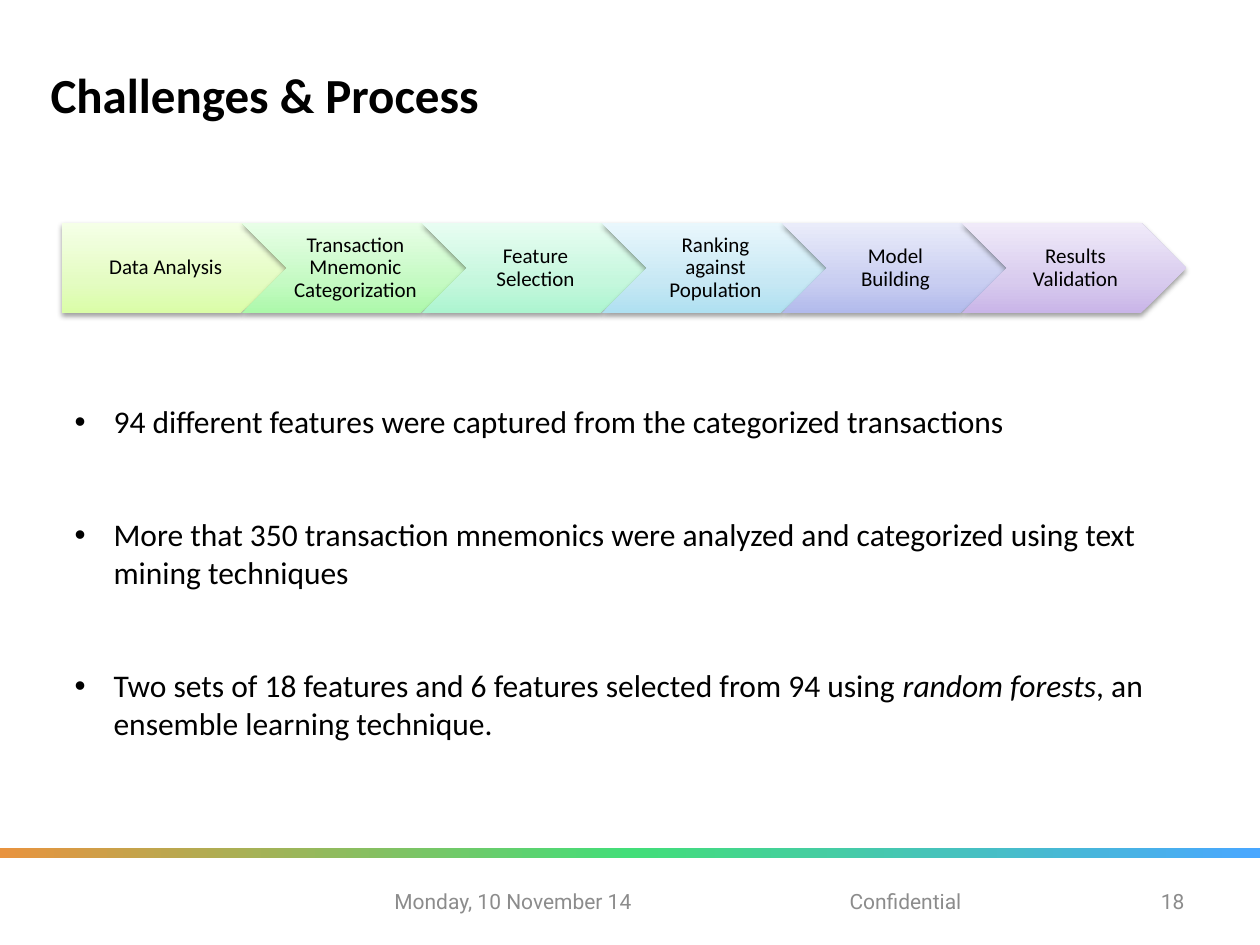
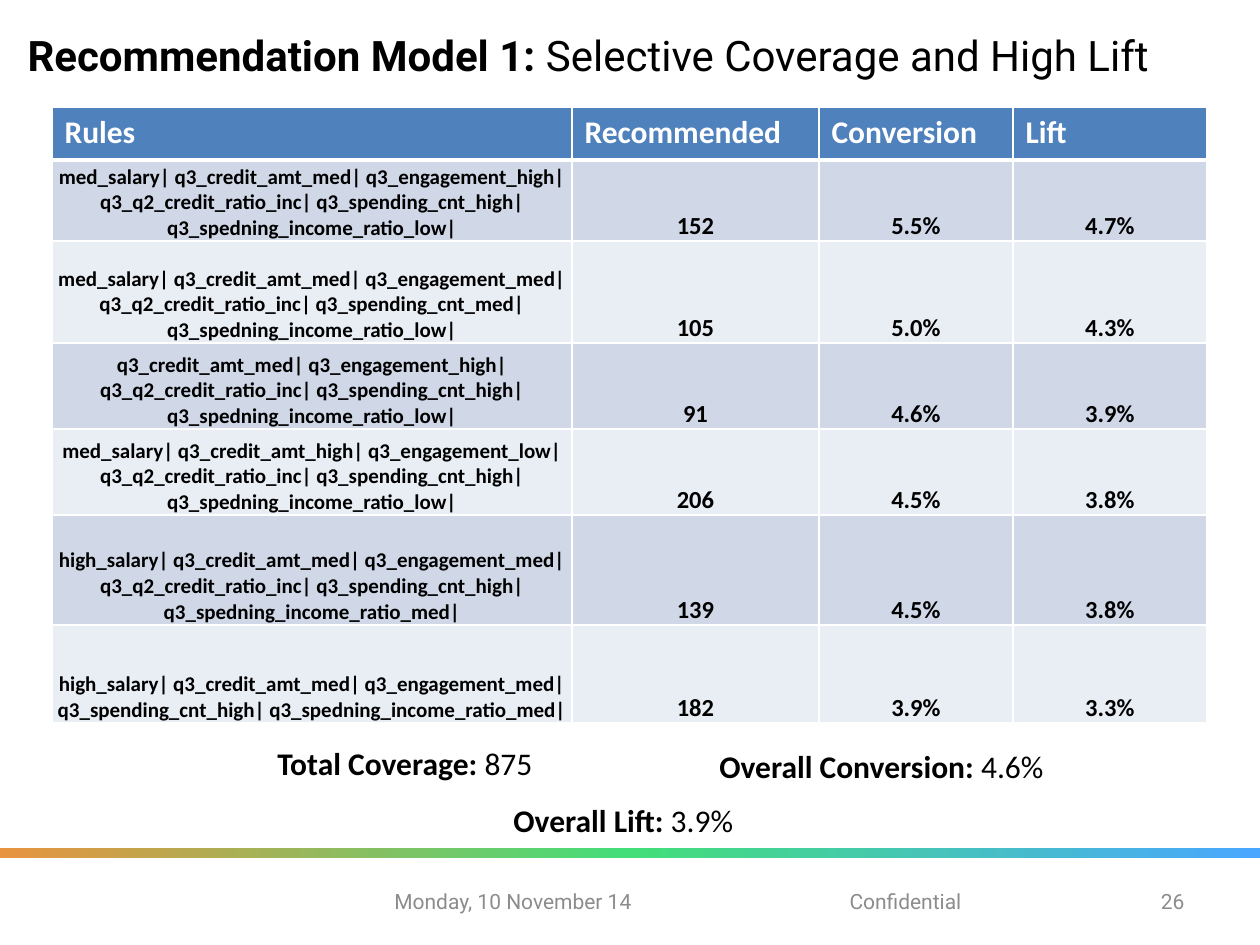
import copy

import pptx
import pptx.dml.color
import pptx.enum.shapes
import pptx.enum.text
import pptx.oxml.ns
import pptx.util
from lxml import etree

Pt = pptx.util.Pt
qn = pptx.oxml.ns.qn
ALIGN = pptx.enum.text.PP_ALIGN
ANCHOR = pptx.enum.text.MSO_ANCHOR
SHAPE = pptx.enum.shapes.MSO_SHAPE

PX_PER_INCH = 126
TITLE_ONLY, TITLE_AND_CONTENT = 5, 1

STEPS = [
    ("Data Analysis", "DAFDA7", "E4FCC2", "F5FFE7"),
    ("Transaction Mnemonic Categorization", "ACF9AA", "C5FAC3", "E8FEE7"),
    ("Feature Selection", "ACF5D0", "C5F7DD", "E8FDF2"),
    ("Ranking against Population", "AFE0F1", "C7E8F4", "E9F7FC"),
    ("Model Building", "B2BAEC", "C9CEF1", "EAECFA"),
    ("Results Validation", "C9B5E8", "D8CBEE", "F0EAF9"),
]

# Rich text is a list of (text, style) pairs; style is "b", "i" or "".
FINDINGS = [
    [("94 different features were captured from the categorized transactions", "")],
    [("More that 350 transaction mnemonics were analyzed and categorized "
      "using text mining techniques", "")],
    [("Two sets of 18 features and 6 features selected from 94 using ", ""),
     ("random forests", "i"), (", an ensemble learning technique.", "")],
]

RULES = [
    ("Rules", "Recommended", "Conversion", "Lift"),
    ("med_salary| q3_credit_amt_med| q3_engagement_high| q3_q2_credit_ratio_inc| "
     "q3_spending_cnt_high| q3_spedning_income_ratio_low|", "152", "5.5%", "4.7%"),
    ("med_salary| q3_credit_amt_med| q3_engagement_med| q3_q2_credit_ratio_inc| "
     "q3_spending_cnt_med| q3_spedning_income_ratio_low|", "105", "5.0%", "4.3%"),
    ("q3_credit_amt_med| q3_engagement_high| q3_q2_credit_ratio_inc| "
     "q3_spending_cnt_high| q3_spedning_income_ratio_low|", "91", "4.6%", "3.9%"),
    ("med_salary| q3_credit_amt_high| q3_engagement_low| q3_q2_credit_ratio_inc| "
     "q3_spending_cnt_high| q3_spedning_income_ratio_low|", "206", "4.5%", "3.8%"),
    ("high_salary| q3_credit_amt_med| q3_engagement_med| q3_q2_credit_ratio_inc| "
     "q3_spending_cnt_high| q3_spedning_income_ratio_med|", "139", "4.5%", "3.8%"),
    ("high_salary| q3_credit_amt_med| q3_engagement_med| "
     "q3_spending_cnt_high| q3_spedning_income_ratio_med|", "182", "3.9%", "3.3%"),
]
RULE_COLUMNS = [520, 247, 194, 194]
RULE_ROWS = [53, 81, 102, 86, 86, 110, 98]

TOTALS = [
    ("Total Coverage: ", "875", (265, 738, 297, 50)),
    ("Overall Conversion: ", "4.6%", (707, 741, 367, 50)),
    ("Overall Lift: ", "3.9%", (501, 795, 248, 50)),
]


def px(length):
    return pptx.util.Emu(round(length * 914400 / PX_PER_INCH))


def rgb(hex_color):
    return pptx.dml.color.RGBColor.from_string(hex_color)


def set_margins(holder, left, top, right, bottom):
    """Set the inner margins of a text frame or a table cell."""
    holder.margin_left, holder.margin_top = px(left), px(top)
    holder.margin_right, holder.margin_bottom = px(right), px(bottom)


class Deck:
    heading_font, body_font = "Roboto", "Calibri"
    black, white, grey = "000000", "FFFFFF", "8C8C8C"
    band = [(0, "E8933F"), (0.5, "43DE79"), (1, "49A7FF")]
    header_fill, row_fills = "4F81BD", ("D0D8E8", "E9EDF4")

    def __init__(self):
        self.presentation = pptx.Presentation()
        self.presentation.slide_width = px(1260)
        self.presentation.slide_height = px(945)
        self.slide = None

    def new_slide(self, layout, number):
        """Add a slide with the rainbow band and the footer."""
        self.slide = self.presentation.slides.add_slide(
            self.presentation.slide_layouts[layout])
        self.gradient_shape(SHAPE.RECTANGLE, (0, 848, 1260, 10), self.band, 0)
        for words, left, width, align in [
                ("Monday, 10 November 14", 382, 294, ALIGN.LEFT),
                ("Confidential", 706, 399, ALIGN.CENTER),
                (str(number), 1134, 63, ALIGN.RIGHT)]:
            self.text_box([(words, "")], (left, 876, width, 50), 12,
                          self.heading_font, self.grey, align)

    def add_words(self, paragraph, pieces, size, font, color, align=ALIGN.LEFT):
        paragraph.alignment = align
        for words, style in pieces:
            run = paragraph.add_run()
            run.text = words
            run.font.size, run.font.name = Pt(size), font
            run.font.bold, run.font.italic = style == "b", style == "i"
            run.font.color.rgb = rgb(color)

    def place(self, shape, box):
        shape.left, shape.top, shape.width, shape.height = map(px, box)
        shape.text_frame.auto_size = pptx.enum.text.MSO_AUTO_SIZE.NONE

    def title(self, pieces, box, size, font):
        heading = self.slide.shapes.title
        self.place(heading, box)
        heading.text_frame.vertical_anchor = ANCHOR.MIDDLE
        self.add_words(heading.text_frame.paragraphs[0], pieces, size, font, self.black)

    def bullets(self, items, box, size, gap):
        body = self.slide.placeholders[1]
        self.place(body, box)
        for index, pieces in enumerate(items):
            frame = body.text_frame
            paragraph = frame.add_paragraph() if index else frame.paragraphs[0]
            paragraph.space_before = Pt(gap if index else 0)
            properties = paragraph._p.get_or_add_pPr()
            properties.set("marL", str(px(39)))
            properties.set("indent", str(-px(39)))
            self.add_words(paragraph, pieces, size, self.body_font, self.black)

    def text_box(self, pieces, box, size, font, color, align=ALIGN.LEFT, wrap=True):
        frame = self.slide.shapes.add_textbox(*map(px, box)).text_frame
        frame.word_wrap = wrap
        frame.vertical_anchor = ANCHOR.MIDDLE
        self.add_words(frame.paragraphs[0], pieces, size, font, color, align)

    def gradient_shape(self, kind, box, stops, angle):
        """Add a borderless shape with a three-stop gradient."""
        shape = self.slide.shapes.add_shape(kind, *map(px, box))
        shape.shadow.inherit = False
        shape.line.fill.background()
        shape.fill.gradient()
        shape.fill.gradient_angle = angle
        stop_list = shape._element.spPr.find(".//" + qn("a:gsLst"))
        stop_list.insert(1, copy.deepcopy(stop_list[0]))
        for stop, (position, color) in zip(shape.fill.gradient_stops, stops):
            stop.position = position
            stop.color.rgb = rgb(color)
        return shape

    def soft_shadow(self, shape):
        effects = shape._element.spPr.find(qn("a:effectLst"))
        shadow = etree.SubElement(effects, qn("a:outerShdw"), blurRad="40000",
                                  dist="20000", dir="5400000", rotWithShape="0")
        color = etree.SubElement(shadow, qn("a:srgbClr"), val=self.black)
        etree.SubElement(color, qn("a:alpha"), val="38000")

    def process(self, steps, left, top, width, height, pitch):
        """Draw a row of overlapping arrows, the first with a flat back."""
        for index, (label, *colors) in enumerate(steps):
            arrow = self.gradient_shape(
                SHAPE.CHEVRON if index else SHAPE.PENTAGON,
                (left + index * pitch, top, width, height),
                list(zip((0, 0.35, 1), colors)), 90)
            self.soft_shadow(arrow)
            frame = arrow.text_frame
            frame.word_wrap = True
            frame.vertical_anchor = ANCHOR.MIDDLE
            set_margins(frame, 6 if index else 9, 5, 3, 5)
            frame.paragraphs[0].line_spacing = 0.9
            self.add_words(frame.paragraphs[0], [(label, "")], 12,
                           self.body_font, self.black, ALIGN.CENTER)

    def borders(self, cell, top, bottom):
        """Draw white cell borders; top and bottom are widths in points."""
        properties = cell._tc.get_or_add_tcPr()
        sides = [("a:lnL", 1), ("a:lnR", 1), ("a:lnT", top), ("a:lnB", bottom)]
        for index, (side, weight) in enumerate(sides):
            line = etree.Element(qn(side), w=str(Pt(weight)))
            fill = etree.SubElement(line, qn("a:solidFill"))
            etree.SubElement(fill, qn("a:srgbClr"), val=self.white)
            properties.insert(index, line)

    def table(self, rows, left, top, widths, heights):
        grid = self.slide.shapes.add_table(
            len(rows), len(widths), px(left), px(top),
            px(sum(widths)), px(sum(heights))).table
        for column, width in zip(grid.columns, widths):
            column.width = px(width)
        for r, (values, height) in enumerate(zip(rows, heights)):
            grid.rows[r].height = px(height)
            for c, value in enumerate(values):
                cell = grid.cell(r, c)
                cell.fill.solid()
                cell.fill.fore_color.rgb = rgb(
                    self.row_fills[(r - 1) % 2] if r else self.header_fill)
                self.borders(cell, 3 if r == 1 else 1, 1 if r else 3)
                size, color, align = 18, self.white, ALIGN.LEFT
                if r:
                    size, color, align = 14 if c else 12, self.black, ALIGN.CENTER
                    cell.vertical_anchor = ANCHOR.BOTTOM
                    set_margins(cell, 1, 1, 1, 0)
                self.add_words(cell.text_frame.paragraphs[0], [(value, "b")], size,
                               self.body_font, color, align)


def main():
    deck = Deck()

    deck.new_slide(TITLE_AND_CONTENT, 18)
    deck.title([("Challenges & Process", "b")], (38, 58, 1211, 72), 28, deck.body_font)
    deck.bullets(FINDINGS, (62, 396, 1124, 440), 18, 43)
    deck.process(STEPS, left=62, top=223, width=224, height=90, pitch=180)

    deck.new_slide(TITLE_ONLY, 26)
    deck.title([("Recommendation Model 1: ", "b"),
                ("Selective Coverage and High Lift", "")],
               (15, 23, 1211, 63), 24, deck.heading_font)
    deck.table(RULES, 52, 107, RULE_COLUMNS, RULE_ROWS)
    for label, value, box in TOTALS:
        deck.text_box([(label, "b"), (value, "")], box, 18,
                      deck.body_font, deck.black, wrap=False)

    deck.presentation.save("out.pptx")


if __name__ == "__main__":
    main()
